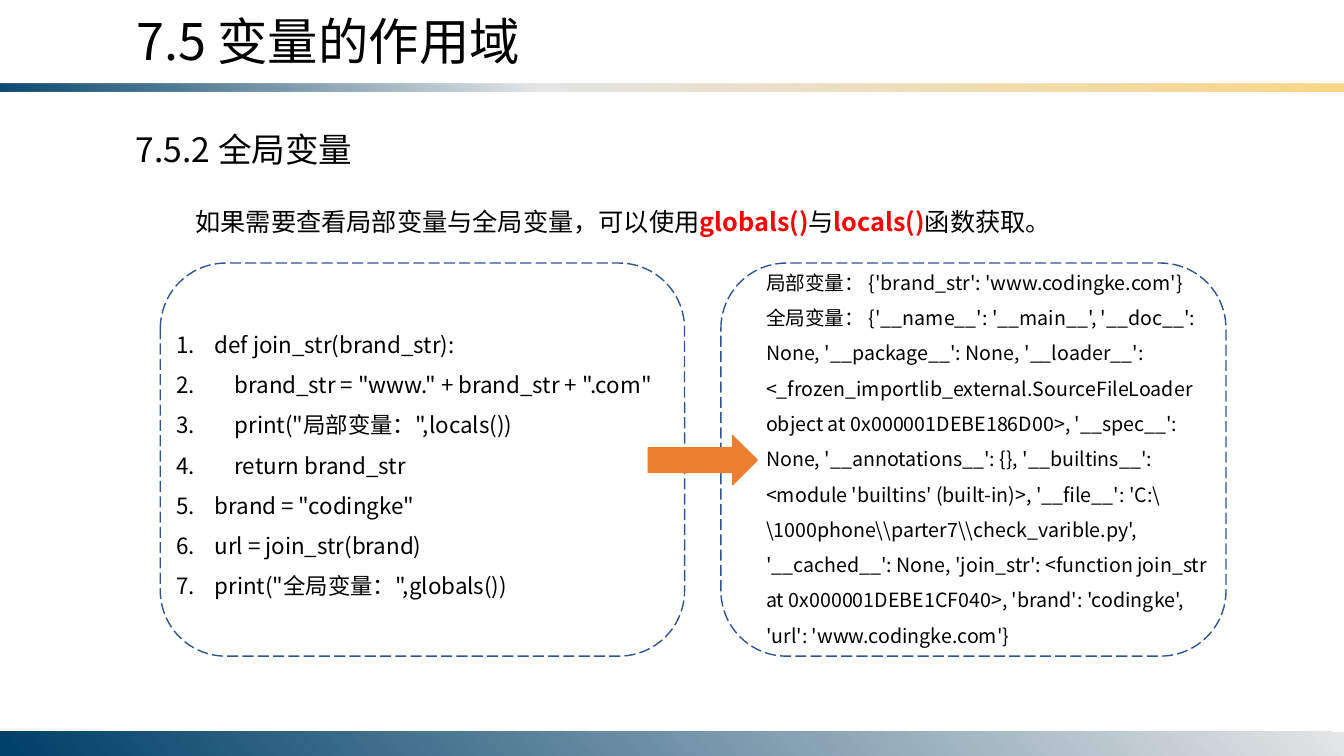
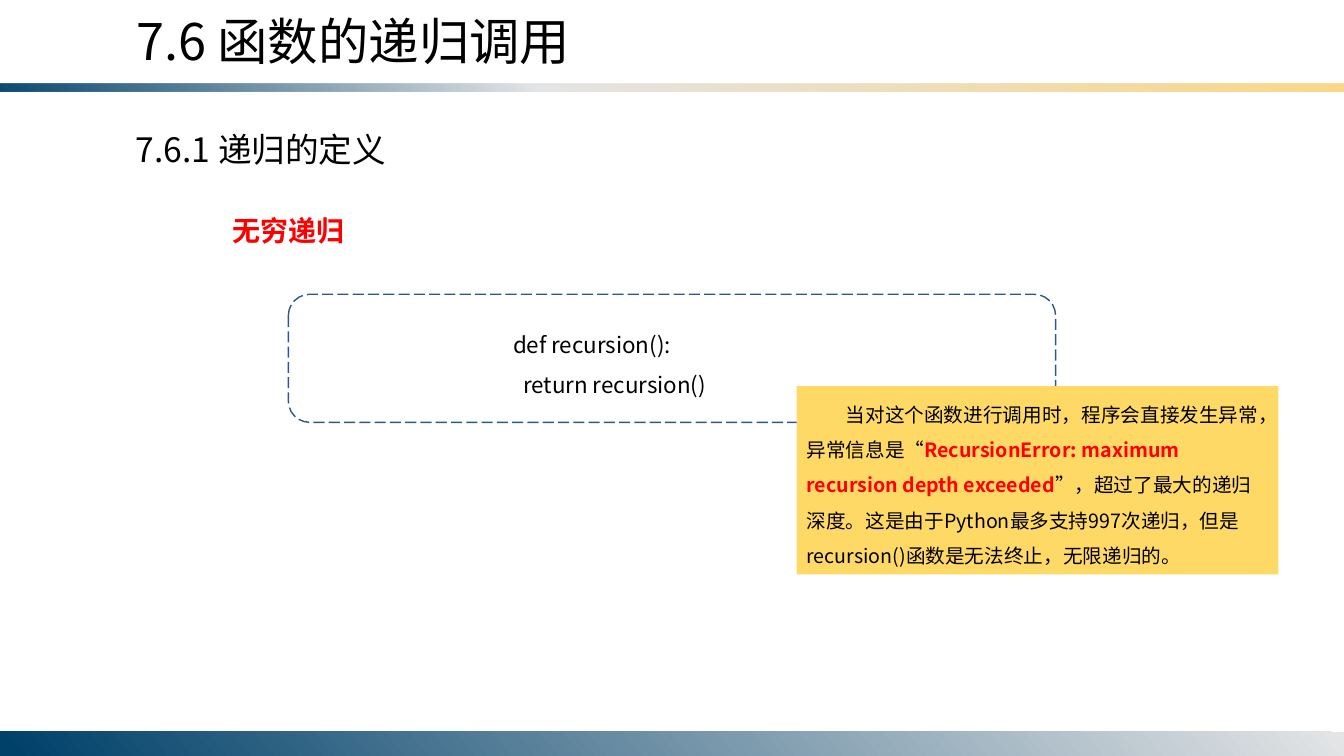
"""Build two lecture slides on variable scope and recursive functions."""
from lxml import etree
from pptx import Presentation
from pptx.dml.color import RGBColor
from pptx.enum import dml, shapes, text
from pptx.oxml import ns
from pptx.util import Inches, Pt

FONT = "Noto Sans CJK SC"
BLACK, RED, ORANGE, YELLOW, OUTLINE = "000000", "FF0000", "ED7D31", "FFD966", "325491"


def color(value):
    """Turn a hex string into a colour."""
    return RGBColor.from_string(value)


def write(shape, paragraphs, size, spacing=1.5, indent=0, numbered=False):
    """Fill a shape with paragraphs; parts between ** marks are bold red."""
    frame = shape.text_frame
    frame.word_wrap = True
    frame.auto_size = text.MSO_AUTO_SIZE.NONE
    frame.vertical_anchor = text.MSO_ANCHOR.TOP
    for index, line in enumerate(paragraphs):
        paragraph = frame.add_paragraph() if index else frame.paragraphs[0]
        properties = paragraph._p.get_or_add_pPr()
        if numbered:
            properties.set("marL", str(Inches(0.38)))
            etree.SubElement(properties, ns.qn("a:buAutoNum"), type="arabicPeriod")
        properties.set("indent", str(Inches(-0.38 if numbered else indent)))
        paragraph.alignment = text.PP_ALIGN.LEFT
        paragraph.line_spacing = spacing
        for position, part in enumerate(line.split("**")):
            if not part:
                continue
            run = paragraph.add_run()
            run.text = part
            highlighted = position % 2 == 1
            run.font.size = Pt(size)
            run.font.bold = highlighted
            run.font.color.rgb = color(RED if highlighted else BLACK)
            run.font.name = FONT
            etree.SubElement(run._r.get_or_add_rPr(), ns.qn("a:ea"), typeface=FONT)


deck = Presentation()
deck.slide_width, deck.slide_height = Inches(13.33), Inches(7.5)
layout = deck.slide_layouts.get_by_name("Title Only")
for placeholder in list(layout.placeholders):
    if placeholder.placeholder_format.type != shapes.PP_PLACEHOLDER.TITLE:
        placeholder.element.getparent().remove(placeholder.element)

headings = [("7.5 变量的作用域", "7.5.2 全局变量"), ("7.6 函数的递归调用", "7.6.1 递归的定义")]
slides = []
for heading, subheading in headings:
    slide = deck.slides.add_slide(layout)
    slides.append(slide)
    title = slide.shapes.title
    title.left, title.top, title.width, title.height = map(Inches, (1.25, 0.05, 6.12, 0.71))
    write(title, [heading], 36, spacing=1.0)
    section = slide.shapes.add_textbox(*map(Inches, (1.25, 1.23, 3.51, 0.5)))
    write(section, [subheading], 24, spacing=1.0)
scope, recursion = slides

bands = [
    (0.83, 0.08, 50, True, [(0, "00416A", 95), (40, "E4E5E6", 100), (100, "FBD786", 100)]),
    (7.26, 0.24, 140, False, [(0, "E4E5E6", 100), (99, "00416A", 100)]),
]
for top, height, angle, flipped, stops in bands:
    band = scope.shapes.add_shape(
        shapes.MSO_SHAPE.RECTANGLE, 0, Inches(top), deck.slide_width, Inches(height))
    band.shadow.inherit = False
    band.line.fill.background()
    band.fill.gradient()
    if flipped:
        band.element.spPr.find(ns.qn("a:xfrm")).set("flipV", "1")
    gradient = band.element.spPr.find(ns.qn("a:gradFill"))
    gradient.clear()
    stop_list = etree.SubElement(gradient, ns.qn("a:gsLst"))
    for percent, shade, opacity in stops:
        stop = etree.SubElement(stop_list, ns.qn("a:gs"), pos=str(percent * 1000))
        tone = etree.SubElement(stop, ns.qn("a:srgbClr"), val=shade)
        if opacity < 100:
            etree.SubElement(tone, ns.qn("a:alpha"), val=str(opacity * 1000))
    etree.SubElement(gradient, ns.qn("a:lin"), ang=str(angle * 60000), scaled="0")
    layout.shapes.element.append(band.element)

frames = [
    (scope, (1.59, 2.61, 5.2, 3.9)),
    (scope, (7.15, 2.61, 5.01, 3.9)),
    (recursion, (2.86, 2.92, 7.61, 1.27)),
]
for slide, box in frames:
    border = slide.shapes.add_shape(shapes.MSO_SHAPE.ROUNDED_RECTANGLE, *map(Inches, box))
    border.shadow.inherit = False
    border.fill.background()
    border.line.color.rgb = color(OUTLINE)
    border.line.width = Pt(1)
    border.line.dash_style = dml.MSO_LINE.LONG_DASH

intro = scope.shapes.add_textbox(*map(Inches, (1.84, 1.85, 9.66, 0.55)))
write(intro, ["如果需要查看局部变量与全局变量，可以使用**globals()**与**locals()**函数获取。"], 18)

listing = scope.shapes.add_textbox(*map(Inches, (1.65, 3.1, 5.31, 2.93)))
write(listing, [
    'def join_str(brand_str):',
    '    brand_str = "www." + brand_str + ".com"',
    '    print("局部变量：",locals())',
    '    return brand_str',
    'brand = "codingke"',
    'url = join_str(brand)',
    'print("全局变量：",globals())',
], 16, numbered=True)

output = scope.shapes.add_textbox(*map(Inches, (7.5, 2.52, 4.66, 3.99)))
write(output, [
    "局部变量： {'brand_str': 'www.codingke.com'}",
    "全局变量： {'__name__': '__main__', '__doc__': None, '__package__': None, "
    "'__loader__': <_frozen_importlib_external.SourceFileLoader object at "
    "0x000001DEBE186D00>, '__spec__': None, '__annotations__': {}, "
    "'__builtins__': <module 'builtins' (built-in)>, '__file__': "
    r"'C:\\1000phone\\parter7\\check_varible.py', '__cached__': None, "
    "'join_str': <function join_str at 0x000001DEBE1CF040>, "
    "'brand': 'codingke', 'url': 'www.codingke.com'}",
], 14)

arrow = scope.shapes.add_shape(
    shapes.MSO_SHAPE.RIGHT_ARROW, *map(Inches, (6.43, 4.32, 1.08, 0.49)))
arrow.shadow.inherit = False
arrow.fill.solid()
arrow.fill.fore_color.rgb = color(ORANGE)
arrow.line.color.rgb = color(ORANGE)
arrow.line.width = Pt(1)

topic = recursion.shapes.add_textbox(*map(Inches, (1.71, 1.9, 9.92, 0.6)))
write(topic, ["**无穷递归**"], 20, indent=0.5)

definition = recursion.shapes.add_textbox(*map(Inches, (4.99, 3.1, 3.35, 0.91)))
write(definition, ["def recursion():", "  return recursion()"], 16)

explanation = recursion.shapes.add_shape(
    shapes.MSO_SHAPE.RECTANGLE, *map(Inches, (7.9, 3.83, 4.78, 1.87)))
explanation.shadow.inherit = False
explanation.fill.solid()
explanation.fill.fore_color.rgb = color(YELLOW)
explanation.line.fill.background()
write(explanation, [
    "当对这个函数进行调用时，程序会直接发生异常，异常信息是“"
    "**RecursionError: maximum recursion depth exceeded**"
    "”，超过了最大的递归深度。这是由于Python最多支持997次递归，"
    "但是recursion()函数是无法终止，无限递归的。",
], 14, indent=0.39)

deck.save("out.pptx")
